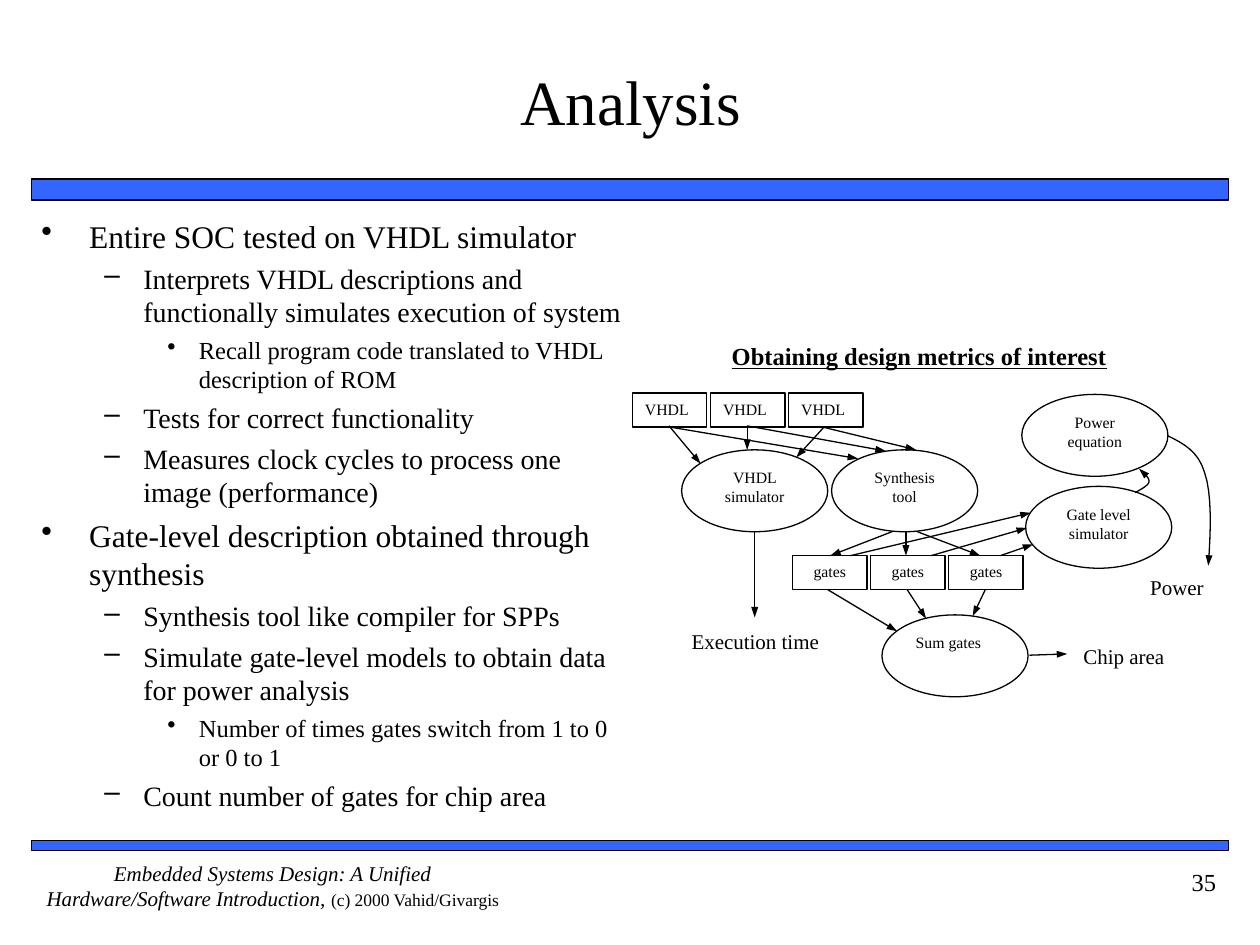
from lxml import etree
from pptx import Presentation
from pptx.dml.color import RGBColor
from pptx.enum.shapes import MSO_CONNECTOR, MSO_SHAPE
from pptx.enum.text import MSO_ANCHOR, PP_ALIGN
from pptx.oxml.ns import qn
from pptx.util import Inches, Pt

BLACK = RGBColor(0x00, 0x00, 0x00)
WHITE = RGBColor(0xFF, 0xFF, 0xFF)
BLUE = RGBColor(0x33, 0x66, 0xFF)
FONT = "Times New Roman"
RECT, OVAL = MSO_SHAPE.RECTANGLE, MSO_SHAPE.OVAL
STRAIGHT = MSO_CONNECTOR.STRAIGHT
LEFT, CENTER, RIGHT = PP_ALIGN.LEFT, PP_ALIGN.CENTER, PP_ALIGN.RIGHT
TOP, MIDDLE = MSO_ANCHOR.TOP, MSO_ANCHOR.MIDDLE
INSETS = (0.1, 0.05)

LEVELS = [
    (18, 4.5, 0.38, 0.38, "•"),
    (16, 4, 0.81, 0.31, "–"),
    (14, 3.5, 1.25, 0.25, "•"),
]
OUTLINE = [
    (0, "Entire SOC tested on VHDL simulator"),
    (1, "Interprets VHDL descriptions and functionally simulates execution of system"),
    (2, "Recall program code translated to VHDL description of ROM"),
    (1, "Tests for correct functionality"),
    (1, "Measures clock cycles to process one image (performance)"),
    (0, "Gate-level description obtained through synthesis"),
    (1, "Synthesis tool like compiler for SPPs"),
    (1, "Simulate gate-level models to obtain data for power analysis"),
    (2, "Number of times gates switch from 1 to 0 or 0 to 1"),
    (1, "Count number of gates for chip area"),
]

OVAL_SIZE = (1.16, 0.65)
BOX_SIZE = (0.59, 0.27)
BOX_STEP = 0.62
STAGES = [
    (0.41, 0.57, "VHDL simulator", CENTER),
    (1.6, 0.57, "Synthesis tool", CENTER),
    (2, 1.88, "Sum gates", LEFT),
    (3.14, 0.86, "Gate level simulator", CENTER),
    (3.11, 0.13, "Power equation", CENTER),
]
BOX_ROWS = [(0.02, 0.12, "VHDL", LEFT), (1.29, 1.41, "gates", CENTER)]
METRICS = [
    (4.03, 1.51, 0.75, 0.33, "Power", LEFT),
    (0.35, 1.94, 1.29, 0.31, "Execution time", CENTER),
    (3.5, 2.06, 0.93, 0.33, "Chip area", LEFT),
]
ARROWS = [
    (0.31, 0.38, 0.56, 0.68), (0.93, 0.39, 0.93, 0.57), (1.54, 0.39, 1.32, 0.63),
    (0.32, 0.39, 1.81, 0.64), (0.93, 0.38, 2.03, 0.58), (1.53, 0.39, 2.27, 0.57),
    (2.08, 1.22, 1.59, 1.41), (2.19, 1.22, 2.19, 1.41), (2.28, 1.22, 2.78, 1.41),
    (1.75, 1.41, 3.18, 1.07), (2.39, 1.41, 3.15, 1.19), (2.94, 1.41, 3.2, 1.32),
    (1.57, 1.68, 2.12, 2.01), (2.2, 1.68, 2.35, 1.91), (2.82, 1.68, 2.72, 1.89),
    (0.99, 1.22, 0.99, 1.9), (3.17, 2.2, 3.47, 2.19),
]
CURVES = [
    [(4.01, 0.91), (4.06, 0.88), (4.12, 0.85), (4.12, 0.82),
     (4.12, 0.79), (4.08, 0.75), (4.04, 0.72)],
    [(4.27, 0.46), (4.39, 0.52), (4.51, 0.58), (4.56, 0.75),
     (4.62, 0.92), (4.61, 1.21), (4.59, 1.49)],
]
CURVE_STEPS = 8


def style_font(font, size, bold=False, italic=False, underline=False):
    font.name, font.size = FONT, Pt(size)
    font.color.rgb = BLACK
    font.bold, font.italic, font.underline = bold, italic, underline


def prepare_frame(frame, insets, anchor=TOP):
    frame.word_wrap = True
    frame.vertical_anchor = anchor
    frame.margin_left = frame.margin_right = Inches(insets[0])
    frame.margin_top = frame.margin_bottom = Inches(insets[1])


def add_label(slide, box, text, size, align, insets=INSETS, anchor=TOP, **style):
    frame = slide.shapes.add_textbox(*map(Inches, box)).text_frame
    prepare_frame(frame, insets, anchor)
    paragraph = frame.paragraphs[0]
    paragraph.text, paragraph.alignment = text, align
    style_font(paragraph.font, size, **style)


def add_block(slide, kind, box, fill, line_width=None, text="", size=9, align=CENTER):
    block = slide.shapes.add_shape(kind, *map(Inches, box))
    block.shadow.inherit = False
    block.fill.solid()
    block.fill.fore_color.rgb = fill
    if line_width is None:
        block.line.fill.background()
    else:
        block.line.color.rgb = BLACK
        block.line.width = Pt(line_width)
    if text:
        prepare_frame(block.text_frame, INSETS)
        paragraph = block.text_frame.paragraphs[0]
        paragraph.text, paragraph.alignment = text, align
        style_font(paragraph.font, size)


def finish_arrow(arrow):
    arrow.line.color.rgb = BLACK
    arrow.line.width = Pt(0.75)
    etree.SubElement(arrow.line._get_or_add_ln(), qn("a:tailEnd"),
                     type="triangle", w="sm", len="med")


def add_arrow(slide, ends):
    arrow = slide.shapes.add_connector(STRAIGHT, *map(Inches, ends))
    finish_arrow(arrow)
    etree.SubElement(arrow._element.spPr, qn("a:effectLst"))


def bezier_point(controls, t):
    weights = ((1 - t) ** 3, 3 * t * (1 - t) ** 2, 3 * t * t * (1 - t), t ** 3)
    return tuple(Inches(sum(w * c[axis] for w, c in zip(weights, controls)))
                 for axis in (0, 1))


def add_curve(slide, points):
    track = [bezier_point(points[start:start + 4], step / CURVE_STEPS)
             for start in range(0, len(points) - 1, 3)
             for step in range(1, CURVE_STEPS + 1)]
    builder = slide.shapes.build_freeform(*map(Inches, points[0]))
    builder.add_line_segments(track, close=False)
    curve = builder.convert_to_shape()
    curve.shadow.inherit = False
    curve.fill.background()
    finish_arrow(curve)


def add_outline(slide, box):
    frame = slide.shapes.add_textbox(*map(Inches, box)).text_frame
    prepare_frame(frame, INSETS)
    for index, (level, text) in enumerate(OUTLINE):
        paragraph = frame.add_paragraph() if index else frame.paragraphs[0]
        size, gap, margin, hang, bullet = LEVELS[level]
        paragraph.text, paragraph.level = text, level
        properties = paragraph._p.get_or_add_pPr()
        properties.set("marL", str(Inches(margin)))
        properties.set("indent", str(-Inches(hang)))
        etree.SubElement(properties, qn("a:buChar"), char=bullet)
        paragraph.space_before = Pt(gap)
        style_font(paragraph.font, size)


def add_flow(slide, left, top):
    def place(x, y, width, height):
        return left + x, top + y, width, height

    for *box, text, align in METRICS:
        add_block(slide, RECT, place(*box), WHITE, None, text, 12, align)
    for x, y, text, align in STAGES:
        add_block(slide, OVAL, place(x, y, *OVAL_SIZE), WHITE, 0.75, text, 9, align)
    for x, y, text, align in BOX_ROWS:
        for column in range(3):
            box = place(x + column * BOX_STEP, y, *BOX_SIZE)
            add_block(slide, RECT, box, WHITE, 0.75, text, 9, align)
    for x1, y1, x2, y2 in ARROWS:
        add_arrow(slide, (left + x1, top + y1, left + x2, top + y2))
    for points in CURVES:
        add_curve(slide, [(left + x, top + y) for x, y in points])


def add_footer(slide, left, top, width, height):
    add_block(slide, RECT, (left, top, width, 0.08), BLUE, 1)
    text_top, text_height = top + 0.16, height - 0.16
    credit_box = (left, text_top, 3.83, text_height)
    frame = slide.shapes.add_textbox(*map(Inches, credit_box)).text_frame
    prepare_frame(frame, (0, 0))
    credit = frame.paragraphs[0]
    credit.alignment = CENTER
    for text, size, italic in (
        ("Embedded Systems Design: A Unified Hardware/Software Introduction, ", 12, True),
        ("(c) 2000 Vahid/Givargis", 10, False),
    ):
        run = credit.add_run()
        run.text = text
        style_font(run.font, size, italic=italic)
    add_label(slide, (left + width - 1, text_top, 1, text_height), "35", 14, RIGHT)


def main():
    deck = Presentation()
    deck.slide_width, deck.slide_height = Inches(10), Inches(7.5)
    slide = deck.slides.add_slide(deck.slide_layouts[6])
    add_block(slide, RECT, (0.25, 1.42, 9.5, 0.17), BLUE, 1)
    add_label(slide, (0.42, 0.17, 9.17, 1.25), "Analysis", 36, CENTER, (0, 0.05), MIDDLE)
    add_outline(slide, (0.23, 1.67, 4.84, 4.94))
    add_flow(slide, 5, 3)
    add_label(slide, (5.79, 2.71, 3.01, 0.23), "Obtaining design metrics of interest",
              14, CENTER, (0, 0), bold=True, underline=True)
    add_footer(slide, 0.25, 6.67, 9.5, 0.66)
    deck.save("out.pptx")


if __name__ == "__main__":
    main()
